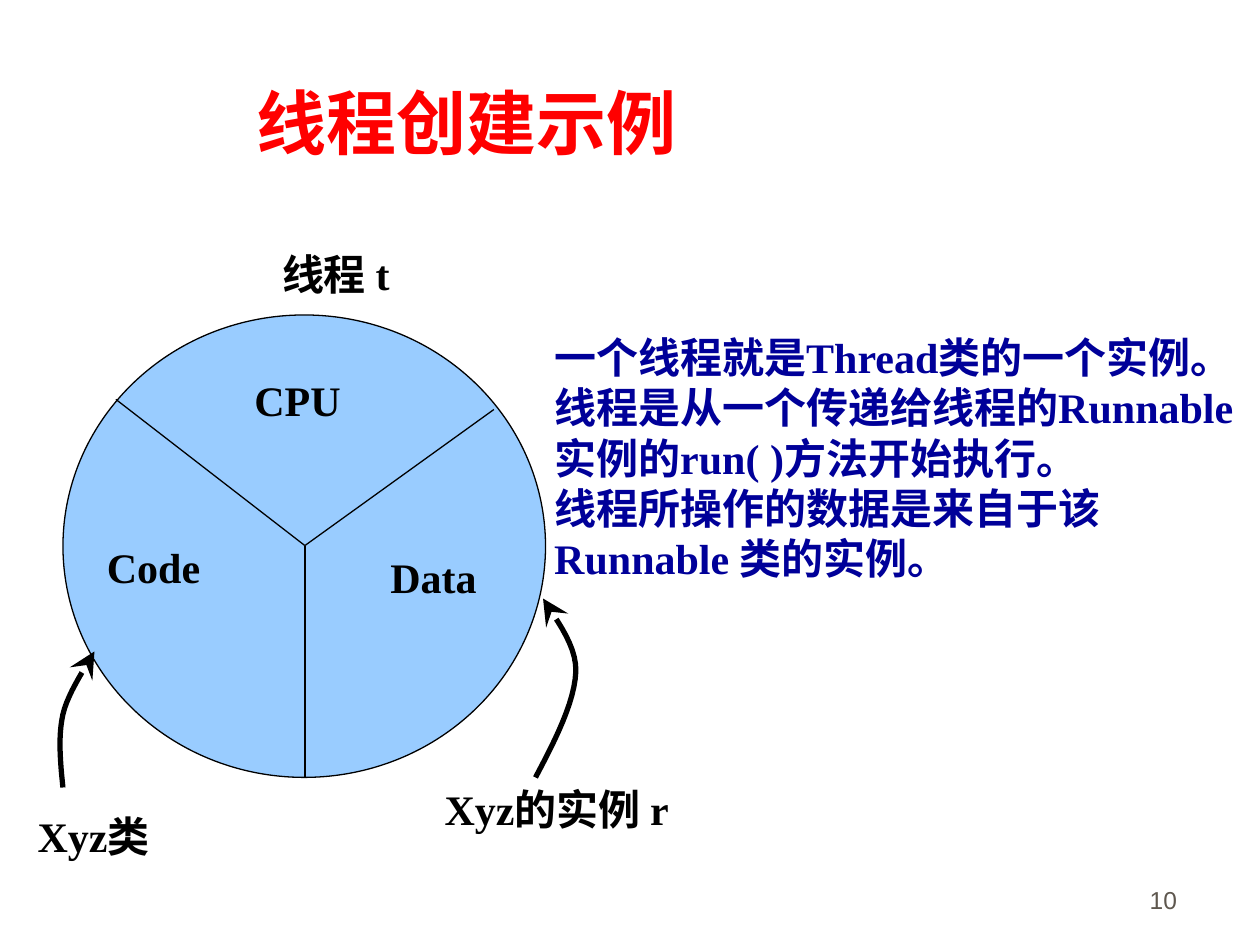
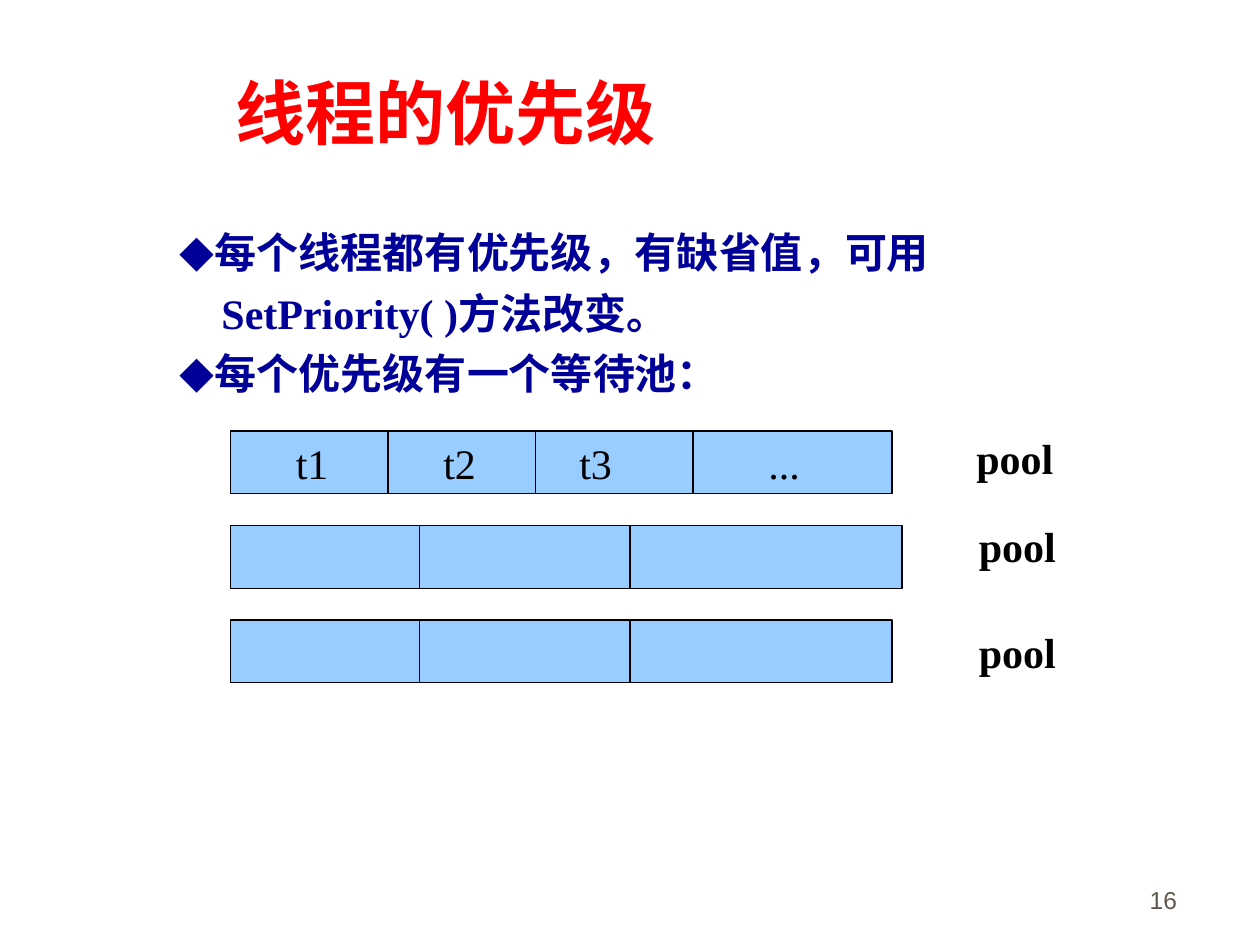
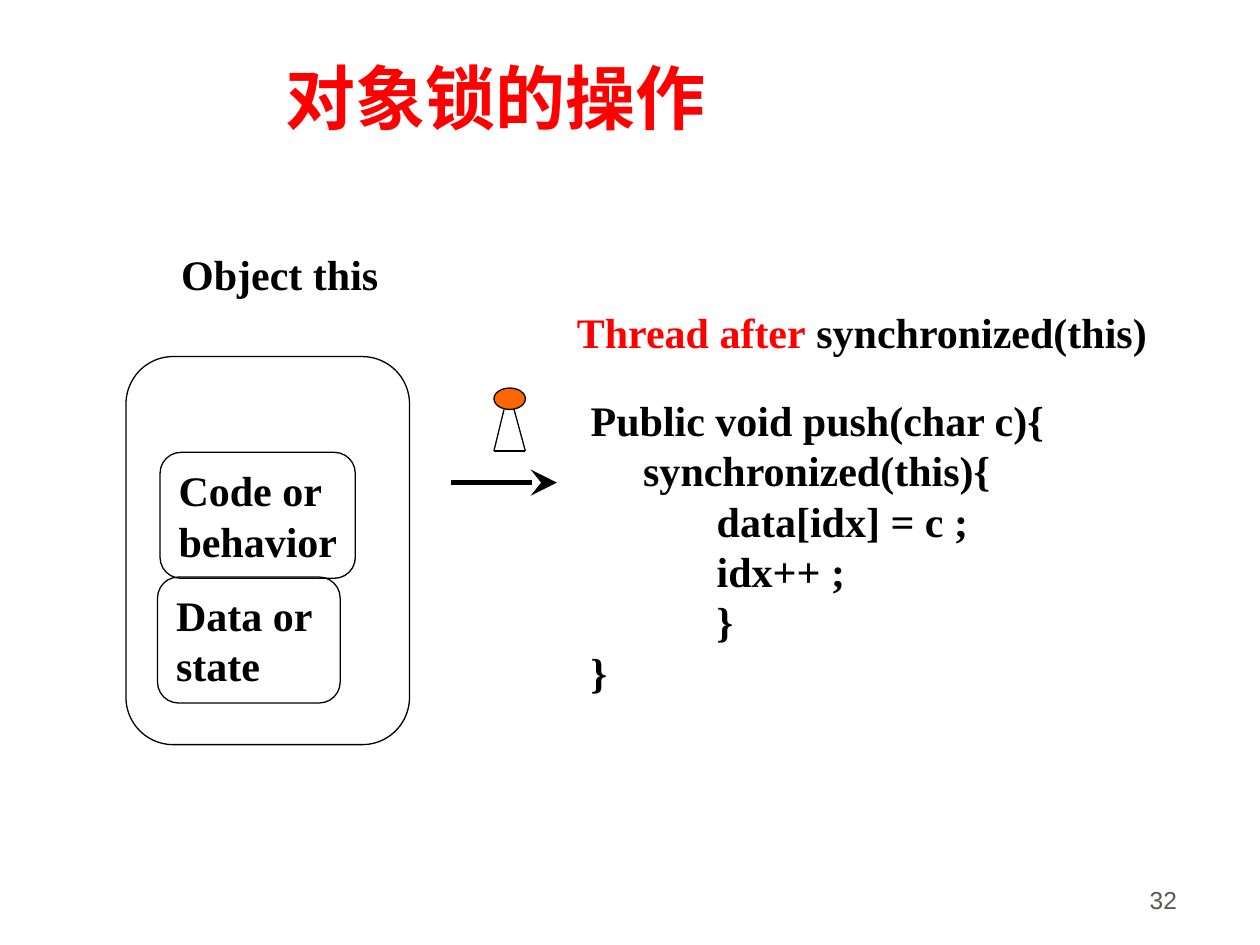
from itertools import pairwise

from lxml.etree import SubElement
from pptx import Presentation
from pptx.dml.color import RGBColor
from pptx.enum.shapes import MSO_CONNECTOR, MSO_SHAPE
from pptx.enum.text import MSO_ANCHOR, PP_ALIGN
from pptx.oxml.ns import qn
from pptx.util import Inches, Pt

BLACK, RED, NAVY, GRAY = "000000", "FF0000", "000099", "5E574E"
SKY, ORANGE = "99CCFF", "FF6600"
color = RGBColor.from_string


def add_text(slide, text, left, top, width, height=0.5, size=24, text_color=BLACK,
             bold=True, font="Times New Roman", preset=None):
    box = [Inches(value) for value in (left, top, width, height)]
    if preset is None:
        shape = slide.shapes.add_textbox(*box)
    else:
        shape = slide.shapes.add_shape(preset, *box)
        shape.fill.background()
    frame = shape.text_frame
    frame.text = text
    frame.word_wrap = True
    frame.margin_right = 0
    frame.vertical_anchor = MSO_ANCHOR.TOP
    for paragraph in frame.paragraphs:
        paragraph.alignment = PP_ALIGN.LEFT
        paragraph.font.name = font
        paragraph.font.size = Pt(size)
        paragraph.font.bold = bold
        paragraph.font.color.rgb = color(text_color)
    return shape


def outline(shape, width=0.75, arrow=False):
    shape.line.color.rgb = color(BLACK)
    shape.line.width = Pt(width)
    properties = shape._element.spPr
    if arrow:
        SubElement(properties.find(qn("a:ln")), qn("a:tailEnd"),
                   type="stealth", w="lg", len="lg")
    SubElement(properties, qn("a:effectLst"))


presentation = Presentation()
presentation.slide_width = Inches(10)
presentation.slide_height = Inches(7.5)

slides = []
for title, left, top, number in [
    ("线程创建示例", 1.94, 0.58, "10"),
    ("线程的优先级", 1.77, 0.5, "16"),
    ("对象锁的操作", 2.17, 0.38, "32"),
]:
    slide = presentation.slides.add_slide(presentation.slide_layouts[6])
    add_text(slide, title, left, top, 3.53, 0.77, size=40, text_color=RED)
    footer = add_text(slide, number, 7.36, 6.81, 2.08, size=14, text_color=GRAY,
                      bold=False, font="Arial")
    footer.text_frame.margin_right = Inches(0.1)
    footer.text_frame.vertical_anchor = MSO_ANCHOR.BOTTOM
    footer.text_frame.paragraphs[0].alignment = PP_ALIGN.RIGHT
    slides.append(slide)
creation_slide, priority_slide, lock_slide = slides

thread_circle = creation_slide.shapes.add_shape(
    MSO_SHAPE.OVAL, Inches(0.5), Inches(2.5), Inches(3.83), Inches(3.67))
thread_circle.fill.solid()
thread_circle.fill.fore_color.rgb = color(SKY)
outline(thread_circle)

for part, left, top, width in [
    ("CPU", 1.92, 2.92, 0.88), ("Code", 0.75, 4.25, 0.94), ("Data", 3, 4.33, 0.88),
]:
    label = add_text(creation_slide, part, left, top, width)
    label.fill.solid()
    label.fill.fore_color.rgb = color(SKY)

for x, y in [(0.92, 3.17), (3.92, 3.25), (2.42, 6.17)]:
    outline(creation_slide.shapes.add_connector(
        MSO_CONNECTOR.STRAIGHT, Inches(2.42), Inches(4.33), Inches(x), Inches(y)))

for text, left, top, width in [
    ("线程 t", 2.14, 1.92, 1.13),
    ("Xyz类", 0.2, 6.38, 1.17),
    ("Xyz的实例 r", 3.43, 6.17, 2.22),
]:
    add_text(creation_slide, text, left, top, width)

explanation = """一个线程就是Thread类的一个实例。
线程是从一个传递给线程的Runnable
实例的run( )方法开始执行。
线程所操作的数据是来自于该
Runnable 类的实例。"""
add_text(creation_slide, explanation, 4.3, 2.58, 5.75, 2.5, text_color=NAVY)

class_curve = [(0.5, 6.25), (0.48, 6.05), (0.46, 5.85), (0.5, 5.67),
               (0.54, 5.49), (0.71, 5.25), (0.75, 5.17)]
instance_curve = [(4.25, 6.17), (4.41, 5.87), (4.56, 5.57), (4.57, 5.33),
                  (4.58, 5.1), (4.36, 4.85), (4.31, 4.75)]
STEPS = 12
for curve in (class_curve, instance_curve):
    points = []
    for first in (0, 3):
        controls = curve[first:first + 4]
        for step in range(1, STEPS + 1):
            t = step / STEPS
            weights = ((1 - t) ** 3, 3 * t * (1 - t) ** 2, 3 * t ** 2 * (1 - t), t ** 3)
            points.append([Inches(sum(w * c for w, c in zip(weights, axis)))
                           for axis in zip(*controls)])
    start_x, start_y = curve[0]
    builder = creation_slide.shapes.build_freeform(Inches(start_x), Inches(start_y))
    builder.add_line_segments(points, close=False)
    arrow = builder.convert_to_shape()
    arrow.fill.background()
    outline(arrow, 3, arrow=True)

priorities = """◆每个线程都有优先级，有缺省值，可用
SetPriority( )方法改变。
◆每个优先级有一个等待池："""
priority_text = add_text(priority_slide, priorities, 1.33, 1.67, 6.83, 1.54,
                         text_color=NAVY)
for paragraph in priority_text.text_frame.paragraphs:
    paragraph.line_spacing = 1.2
    run = paragraph.runs[0]
    if run.text.startswith("◆"):
        sentence = run.text[1:]
        run.text = "◆"
        run.font.name = "Arial"
        run.font.size = Pt(20)
        paragraph.add_run().text = sentence
    else:
        paragraph._p.get_or_add_pPr().set("marL", str(Inches(0.33)))

for row, (width, dividers, label_left, label_top) in enumerate([
    (5.25, (3.08, 4.25, 5.5), 7.65, 3.38),
    (5.33, (3.33, 5), 7.67, 4.08),
    (5.25, (3.33, 5), 7.67, 4.92),
]):
    top = 3.42 + 0.75 * row
    pool = priority_slide.shapes.add_shape(
        MSO_SHAPE.RECTANGLE, Inches(1.83), Inches(top), Inches(width), Inches(0.5))
    pool.fill.solid()
    pool.fill.fore_color.rgb = color(SKY)
    outline(pool)
    for x in dividers:
        outline(priority_slide.shapes.add_connector(
            MSO_CONNECTOR.STRAIGHT, Inches(x), Inches(top), Inches(x), Inches(top + 0.5)))
    add_text(priority_slide, "pool", label_left, label_top, 0.81)

for thread, left in [("t1", 2.25), ("t2", 3.42), ("t3", 4.5), ("...", 6)]:
    add_text(priority_slide, thread, left, 3.42, 0.46, bold=False)

for text, left, top, width, height in [
    ("", 1, 2.83, 2.25, 3.08),
    ("Code or\nbehavior", 1.27, 3.59, 1.55, 1),
    ("Data or\nstate", 1.25, 4.58, 1.45, 1),
]:
    outline(add_text(lock_slide, text, left, top, width, height,
                     preset=MSO_SHAPE.ROUNDED_RECTANGLE))

add_text(lock_slide, "Object this", 1.34, 1.92, 1.76)
caption = add_text(lock_slide, "Thread after", 4.48, 2.38, 4.73)
caption_paragraph = caption.text_frame.paragraphs[0]
caption_paragraph.runs[0].font.color.rgb = color(RED)
caption_paragraph.add_run().text = " synchronized(this)"

code = """Public void push(char c){
     synchronized(this){
\tdata[idx] = c ;
\tidx++ ;
\t}
}"""
code_text = add_text(lock_slide, code, 4.59, 3.08, 3.8, 2.5)
for paragraph in code_text.text_frame.paragraphs:
    properties = paragraph._p.get_or_add_pPr()
    tab_stops = SubElement(properties, qn("a:tabLst"))
    SubElement(tab_stops, qn("a:tab"), pos=str(Inches(1)), algn="l")
    properties.find(qn("a:defRPr")).addprevious(tab_stops)

key_corners = [(4, 3.25), (3.92, 3.58), (4.17, 3.58), (4.08, 3.25)]
for (x1, y1), (x2, y2) in pairwise(key_corners):
    outline(lock_slide.shapes.add_connector(
        MSO_CONNECTOR.STRAIGHT, Inches(x1), Inches(y1), Inches(x2), Inches(y2)))
key_head = lock_slide.shapes.add_shape(
    MSO_SHAPE.OVAL, Inches(3.92), Inches(3.08), Inches(0.25), Inches(0.17))
key_head.fill.solid()
key_head.fill.fore_color.rgb = color(ORANGE)
outline(key_head)

key_arrow = lock_slide.shapes.add_connector(
    MSO_CONNECTOR.STRAIGHT, Inches(3.58), Inches(3.83), Inches(4.42), Inches(3.83))
outline(key_arrow, 3, arrow=True)

presentation.save("out.pptx")
